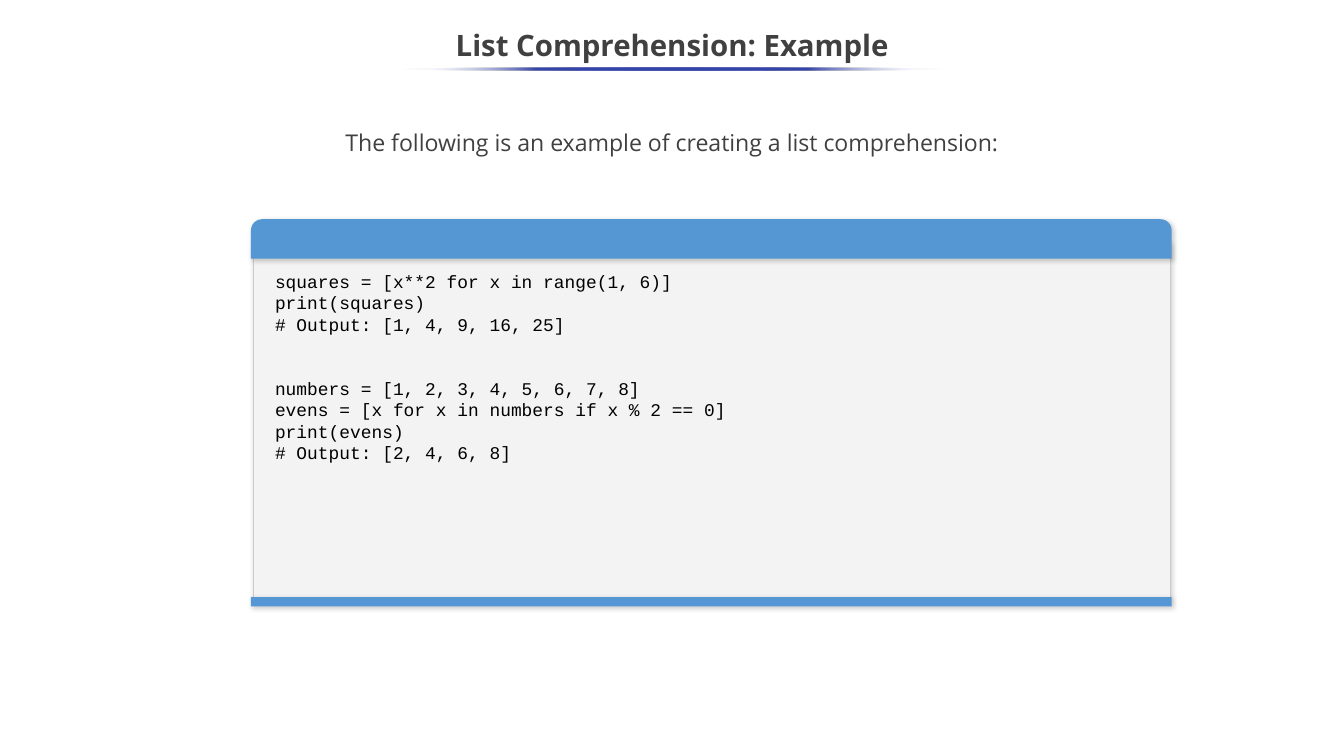
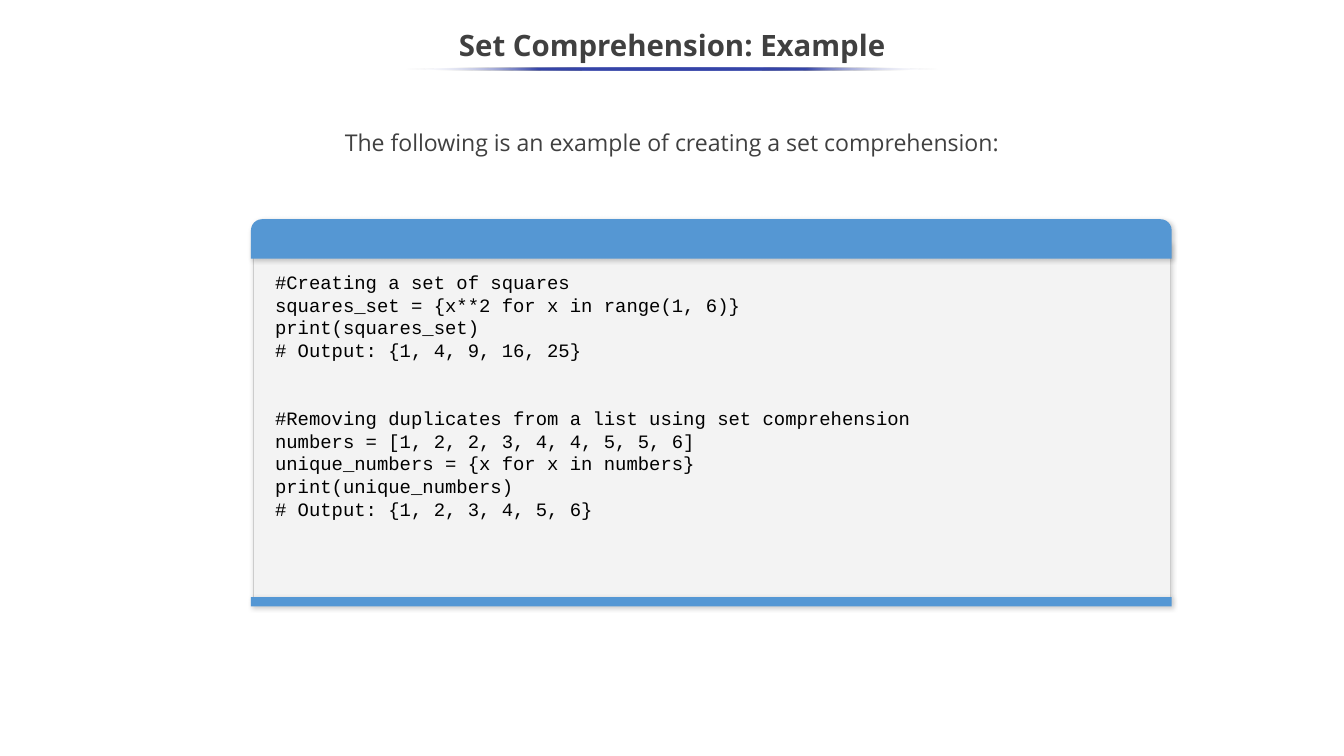
from lxml.etree import SubElement
from pptx import Presentation
from pptx.dml.color import RGBColor
from pptx.enum.shapes import MSO_SHAPE as Preset
from pptx.enum.text import MSO_ANCHOR as Anchor, PP_ALIGN as Align
from pptx.oxml import parse_xml
from pptx.oxml.ns import nsdecls, qn
from pptx.util import Pt

PX = 9144
WIDTH, HEIGHT = 1778, 1000
COLORS = {
    "text": "404040",
    "code": "000000",
    "divider": "3645A9",
    "fade": "FFFFFF",
    "panel": "F3F3F3",
    "border": "CCCCCC",
    "footer": "5497D4",
    "header": "5597D3",
    "shadow": "000000",
}
TITLE = {"name": "Open Sans", "size": Pt(28), "bold": True}
INTRO = {"name": "Open Sans", "size": Pt(22)}

EXAMPLES = [
    {
        "title": "List Comprehension: Example",
        "intro": "The following is an example of creating a list comprehension:",
        "divider": 716,
        "size": 17,
        "blocks": [
            [
                "squares = [x**2 for x in range(1, 6)]",
                "print(squares)",
                "# Output: [1, 4, 9, 16, 25]",
            ],
            [
                "numbers = [1, 2, 3, 4, 5, 6, 7, 8]",
                "evens = [x for x in numbers if x % 2 == 0]",
                "print(evens)",
                "# Output: [2, 4, 6, 8]",
            ],
        ],
    },
    {
        "title": "Set Comprehension: Example",
        "intro": "The following is an example of creating a set comprehension:",
        "divider": 705,
        "size": 18,
        "blocks": [
            [
                "#Creating a set of squares",
                "squares_set = {x**2 for x in range(1, 6)}",
                "print(squares_set)",
                "# Output: {1, 4, 9, 16, 25}",
            ],
            [
                "#Removing duplicates from a list using set comprehension",
                "numbers = [1, 2, 2, 3, 4, 4, 5, 5, 6]",
                "unique_numbers = {x for x in numbers}",
                "print(unique_numbers)",
                "# Output: {1, 2, 3, 4, 5, 6}",
            ],
        ],
    },
]


def add_text(shapes, box, inset, lines, style, color, **paragraph_format):
    frame = shapes.add_textbox(*(n * PX for n in box)).text_frame
    frame.word_wrap = True
    frame.margin_left = frame.margin_right = 10 * PX
    frame.margin_top = frame.margin_bottom = inset * PX
    frame.text = "\n".join(lines)
    for paragraph in frame.paragraphs:
        for key, value in paragraph_format.items():
            setattr(paragraph, key, value)
        for key, value in style.items():
            setattr(paragraph.font, key, value)
        paragraph.font.color.rgb = RGBColor.from_string(COLORS[color])
    return frame


def add_part(shapes, preset, box, color, shadow=True):
    part = shapes.add_shape(preset, *(n * PX for n in box))
    part.fill.solid()
    part.fill.fore_color.rgb = RGBColor.from_string(COLORS[color])
    part.line.fill.background()
    part.shadow.inherit = False
    if shadow:
        effects = part._element.spPr.find(qn("a:effectLst"))
        outer = SubElement(effects, qn("a:outerShdw"), blurRad=str(Pt(4.5)),
                           dist=str(Pt(1.5)), dir=str(47 * 60000), rotWithShape="0")
        tint = SubElement(outer, qn("a:srgbClr"), val=COLORS["shadow"])
        SubElement(tint, qn("a:alpha"), val="20000")
    return part


deck = Presentation()
deck.slide_width, deck.slide_height = WIDTH * PX, HEIGHT * PX

for example in EXAMPLES:
    slide = deck.slides.add_slide(deck.slide_layouts[6])
    add_text(slide.shapes, (140, 165, 1498, 99), 0, [example["intro"]], INTRO, "text",
             alignment=Align.CENTER, line_spacing=1.14)
    title = add_text(slide.shapes, (0, 25, WIDTH, 75), 5, [example["title"]], TITLE, "text",
                     alignment=Align.CENTER, line_spacing=0.9)
    title.vertical_anchor = Anchor.MIDDLE

    span = example["divider"]
    divider = add_part(slide.shapes, Preset.OVAL, ((WIDTH - span) // 2, 89, span, 4),
                       "divider", shadow=False)
    gradient = parse_xml(f'<a:gradFill {nsdecls("a")}><a:gsLst/>'
                         '<a:lin ang="10800000" scaled="0"/></a:gradFill>')
    for percent in range(0, 101, 25):
        faded = percent in (0, 100)
        stop = SubElement(gradient[0], qn("a:gs"), pos=str(percent * 1000))
        tint = SubElement(stop, qn("a:srgbClr"), val=COLORS["fade" if faded else "divider"])
        if faded:
            SubElement(tint, qn("a:alpha"), val="0")
    properties = divider._element.spPr
    properties.replace(properties.find(qn("a:solidFill")), gradient)

    listing = slide.shapes.add_group_shape().shapes
    panel = add_part(listing, Preset.RECTANGLE, (335, 322, 1213, 469), "panel")
    panel.line.color.rgb = RGBColor.from_string(COLORS["border"])
    panel.line.width = Pt(0.75)
    add_part(listing, Preset.RECTANGLE, (332, 790, 1218, 12), "footer")
    header = add_part(listing, Preset.ROUND_2_SAME_RECTANGLE, (332, 290, 1218, 52), "header")
    header.adjustments[0] = 0.28
    header.adjustments[1] = 0

    pitch = 1.2 * example["size"]
    first, second = example["blocks"]
    code = add_text(listing, (354, 348, 1126, 381), 10, first + second,
                    {"name": "Courier New", "size": Pt(example["size"])}, "code",
                    line_spacing=Pt(pitch))
    code.paragraphs[len(first)].space_before = Pt(2 * pitch)

deck.save("out.pptx")
